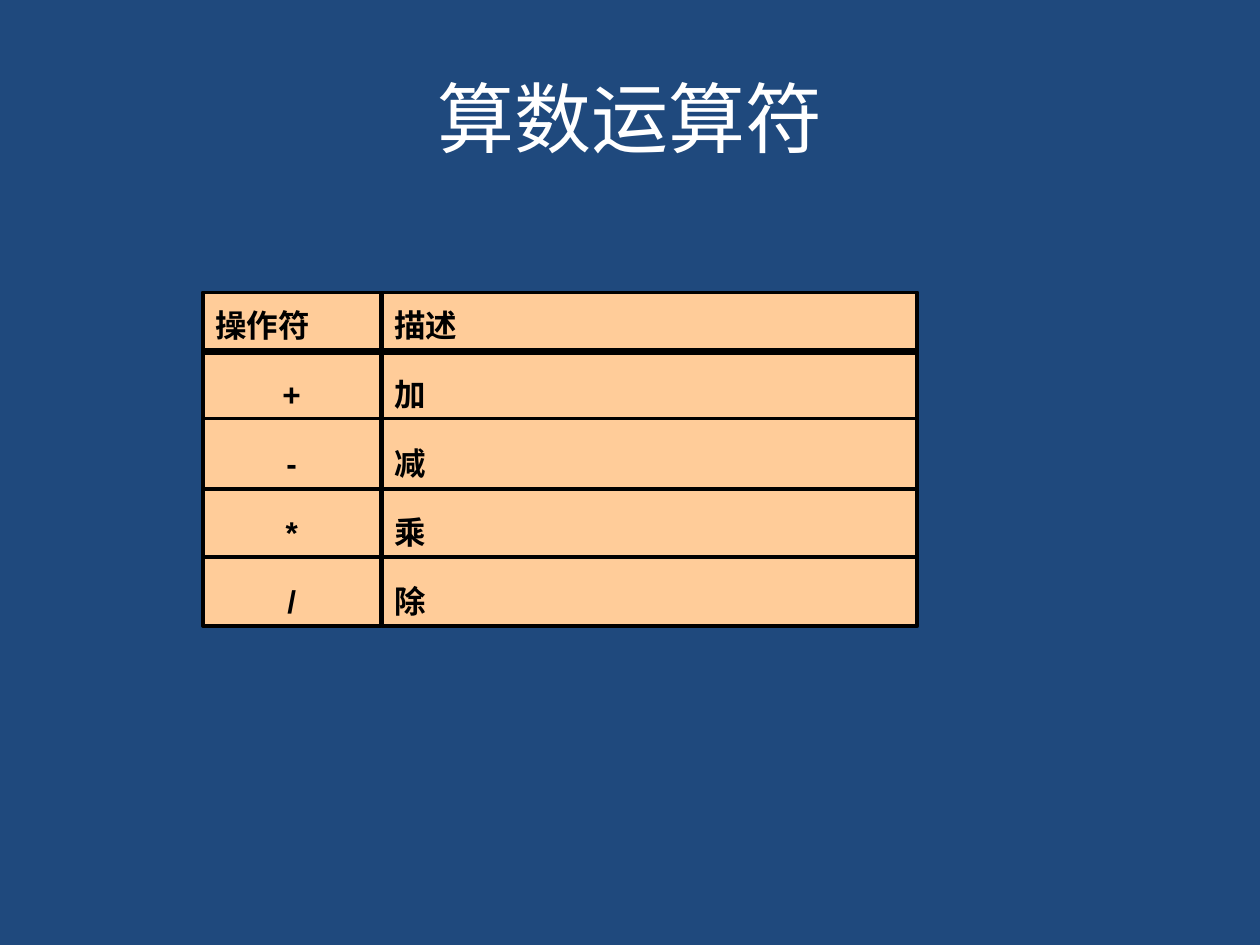
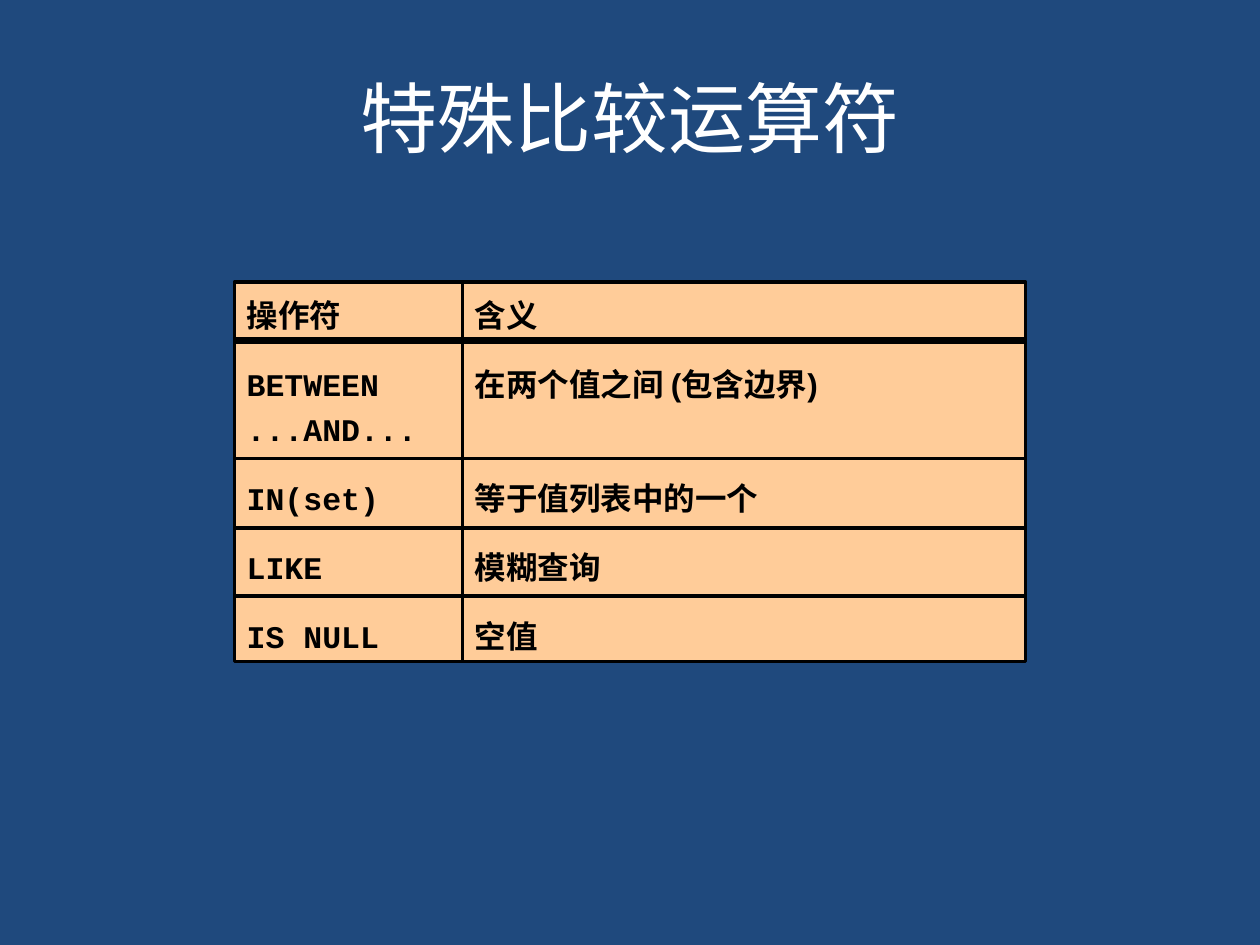
import pptx
import pptx.util
import pptx.dml.color
import pptx.enum.shapes
import pptx.enum.text
import lxml.etree
from pptx.util import Inches, Pt

ALIGN = pptx.enum.text.PP_ALIGN
EFFECT_LIST = "{http://schemas.openxmlformats.org/drawingml/2006/main}effectLst"


def rgb(hex_value):
    return pptx.dml.color.RGBColor.from_string(hex_value)


def apply(target, values):
    for name, value in values.items():
        setattr(target, name, value)


class OperatorDeck:
    BACKGROUND, TITLE_COLOR = "1F497D", "FFFFFF"
    PANEL, INK = "FFCC99", "000000"
    TITLE_BOX = {"left": Inches(0.5), "top": Inches(0.3),
                 "width": Inches(9), "height": Inches(1.25)}
    TITLE_FONT = {"size": Pt(44), "name": "Calibri"}
    ENTRY_FONT = {"size": Pt(18), "bold": True}
    ENTRY_SPACING = {"line_spacing": 1.2, "space_before": Pt(13.5)}
    FRAME = {"word_wrap": True,
             "vertical_anchor": pptx.enum.text.MSO_ANCHOR.TOP,
             "auto_size": pptx.enum.text.MSO_AUTO_SIZE.SHAPE_TO_FIT_TEXT,
             "margin_left": Inches(0.1), "margin_right": Inches(0.1),
             "margin_top": Inches(0.05), "margin_bottom": Inches(0.05)}
    HEADER_RULE, ROW_RULE = Pt(4), Pt(2)

    def __init__(self):
        self.prs = pptx.Presentation()
        apply(self.prs, {"slide_width": Inches(10), "slide_height": Inches(7.5)})
        fill = self.prs.slide_master.background.fill
        fill.solid()
        fill.fore_color.rgb = rgb(self.BACKGROUND)
        self.slide = None

    def add_slide(self, heading):
        self.slide = self.prs.slides.add_slide(self.prs.slide_layouts[5])
        title = self.slide.shapes.title
        apply(title, self.TITLE_BOX)
        title.text_frame.text = heading
        title.text_frame.vertical_anchor = pptx.enum.text.MSO_ANCHOR.MIDDLE
        paragraph = title.text_frame.paragraphs[0]
        paragraph.alignment = ALIGN.CENTER
        apply(paragraph.font, self.TITLE_FONT)
        paragraph.font.color.rgb = rgb(self.TITLE_COLOR)

    def add_column(self, box, header, entries, align=ALIGN.LEFT, font="Arial"):
        """Draw one filled column and return the paragraphs of its entries."""
        column = self.slide.shapes.add_shape(
            pptx.enum.shapes.MSO_SHAPE.RECTANGLE, *map(Inches, box))
        column.shadow.inherit = False
        column.fill.solid()
        column.fill.fore_color.rgb = rgb(self.PANEL)
        column.line.color.rgb = rgb(self.INK)
        column.line.width = self.ROW_RULE
        frame = column.text_frame
        apply(frame, self.FRAME)
        frame.text = "\n".join([header, *entries])
        for index, paragraph in enumerate(frame.paragraphs):
            apply(paragraph, self.ENTRY_SPACING)
            paragraph.alignment = align if index else ALIGN.LEFT
            for run in paragraph.runs:
                apply(run.font, self.ENTRY_FONT)
                run.font.name = font if index else "Arial"
                run.font.color.rgb = rgb(self.INK)
        return frame.paragraphs[1:]

    def add_rules(self, left, right, heights):
        """Draw the row rules; the first one, below the header, is heavier."""
        for index, y in enumerate(heights):
            rule = self.slide.shapes.add_connector(
                pptx.enum.shapes.MSO_CONNECTOR.STRAIGHT,
                Inches(left), Inches(y), Inches(right), Inches(y))
            rule.line.color.rgb = rgb(self.INK)
            rule.line.width = self.ROW_RULE if index else self.HEADER_RULE
            lxml.etree.SubElement(rule.element.spPr, EFFECT_LIST)


def main():
    deck = OperatorDeck()

    deck.add_slide("算数运算符")
    deck.add_column((1.61, 2.32, 1.41, 2.65), "操作符", ["+", "-", "*", "/"],
                    align=ALIGN.CENTER)
    deck.add_column((3.03, 2.32, 4.25, 2.65), "描述", ["加", "减", "乘", "除"])
    deck.add_rules(1.61, 7.27, [2.79, 3.32, 3.88, 4.42])

    deck.add_slide("特殊比较运算符")
    deck.add_column((1.86, 2.24, 1.83, 3.01), "操作符",
                    ["BETWEEN\v...AND...", "IN(set)", "LIKE", "IS NULL"],
                    font="Courier New")
    meanings = deck.add_column(
        (3.67, 2.24, 4.47, 3.01), "含义",
        ["在两个值之间 (包含边界)", "等于值列表中的一个", "模糊查询", "空值"])
    # The matching operator takes two lines.
    meanings[0].space_after = Pt(26)
    deck.add_rules(1.86, 8.14, [2.7, 3.64, 4.19, 4.73])

    deck.prs.save("out.pptx")


if __name__ == "__main__":
    main()
